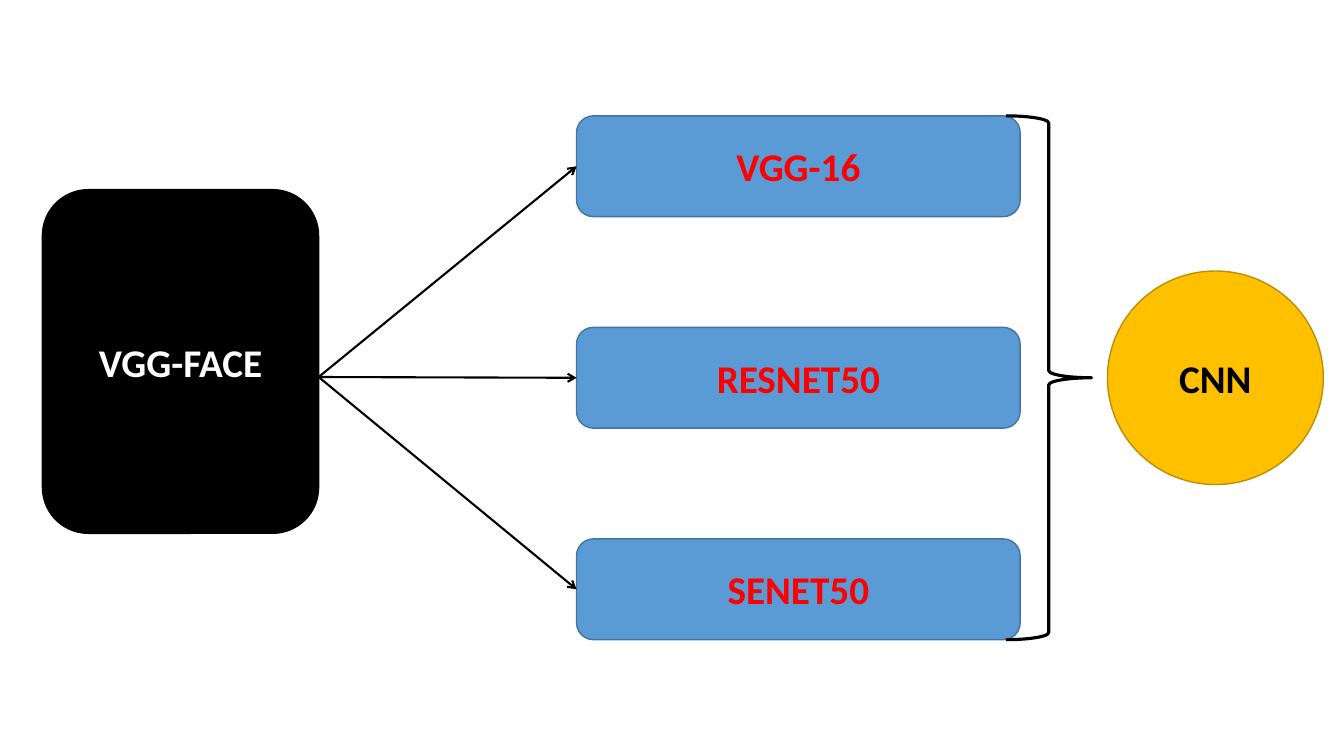
from lxml.etree import SubElement
from pptx import Presentation
from pptx.dml.color import RGBColor
from pptx.enum.shapes import MSO_CONNECTOR, MSO_SHAPE as Preset
from pptx.enum.text import MSO_ANCHOR, PP_ALIGN
from pptx.oxml.ns import qn
from pptx.util import Cm, Pt

# Content
SOURCE = "VGG-FACE"
MODELS = ["VGG-16", "RESNET50", "SENET50"]
RESULT = "CNN"

# Colours
BLACK = RGBColor(0x00, 0x00, 0x00)
WHITE = RGBColor(0xFF, 0xFF, 0xFF)
RED = RGBColor(0xFF, 0x00, 0x00)
BLUE = RGBColor(0x5B, 0x9B, 0xD5)
DARK_BLUE = RGBColor(0x43, 0x73, 0x9E)
GOLD = RGBColor(0xFF, 0xC0, 0x00)
DARK_GOLD = RGBColor(0xBD, 0x8E, 0x00)

# Layout in centimetres
MODEL_LEFT, MODEL_TOP, MODEL_WIDTH, MODEL_HEIGHT = 14.53, 2.92, 11.18, 2.54
MODEL_STEP = 5.33
MODELS_HEIGHT = MODEL_STEP * (len(MODELS) - 1) + MODEL_HEIGHT
ARROW_START = (8.03, 9.5)

presentation = Presentation()
presentation.slide_width = Cm(33.87)
presentation.slide_height = Cm(19.05)
slide = presentation.slides.add_slide(presentation.slide_layouts[6])


def add_outline(preset, box, line_color, line_width):
    shape = slide.shapes.add_shape(preset, *map(Cm, box))
    shape.shadow.inherit = False
    shape.fill.background()
    shape.line.color.rgb = line_color
    shape.line.width = Pt(line_width)
    return shape


def add_node(preset, box, text, fill, line_color, text_color):
    shape = add_outline(preset, box, line_color, 1)
    shape.fill.solid()
    shape.fill.fore_color.rgb = fill
    shape.text_frame.vertical_anchor = MSO_ANCHOR.MIDDLE
    paragraph = shape.text_frame.paragraphs[0]
    paragraph.text = text
    paragraph.alignment = PP_ALIGN.CENTER
    paragraph.font.name = "Calibri"
    paragraph.font.size = Pt(28)
    paragraph.font.bold = True
    paragraph.font.color.rgb = text_color
    return shape


def add_arrow(start, target):
    x, y = map(Cm, start)
    arrow = slide.shapes.add_connector(MSO_CONNECTOR.STRAIGHT, x, y, x, y)
    arrow.end_connect(target, 1)
    arrow.line.color.rgb = BLACK
    arrow.line.width = Pt(1.5)
    SubElement(arrow.line._get_or_add_ln(), qn("a:tailEnd"), type="arrow")
    SubElement(arrow._element.spPr, qn("a:effectLst"))


# Source box
add_node(Preset.ROUNDED_RECTANGLE, (1.07, 4.78, 6.96, 8.66),
         SOURCE, BLACK, BLACK, WHITE)

# Model boxes
model_boxes = [
    add_node(Preset.ROUNDED_RECTANGLE,
             (MODEL_LEFT, MODEL_TOP + row * MODEL_STEP, MODEL_WIDTH, MODEL_HEIGHT),
             name, BLUE, DARK_BLUE, RED)
    for row, name in enumerate(MODELS)
]

# Arrows from the source to each model
for model_box in model_boxes:
    add_arrow(ARROW_START, model_box)

# Brace and result
add_outline(Preset.RIGHT_BRACE, (25.35, MODEL_TOP, 2.16, MODELS_HEIGHT), BLACK, 2.25)
add_node(Preset.OVAL, (27.91, 6.83, 5.44, 5.38), RESULT, GOLD, DARK_GOLD, BLACK)

presentation.save("out.pptx")
